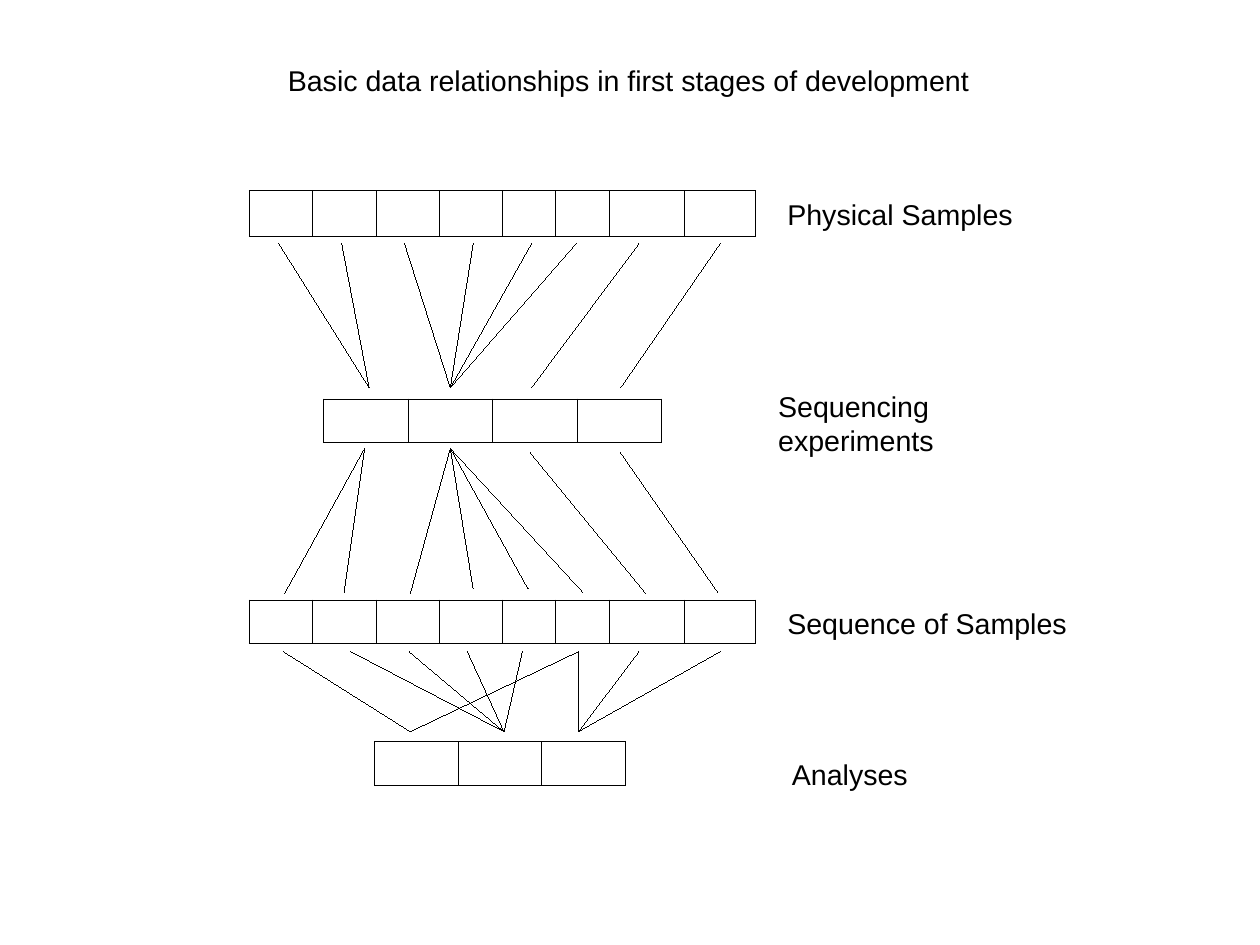
import lxml.etree
import pptx
import pptx.dml.color
import pptx.enum.shapes
import pptx.enum.text
import pptx.oxml
import pptx.oxml.ns
import pptx.util

Inches = pptx.util.Inches
Pt = pptx.util.Pt
BLACK = pptx.dml.color.RGBColor(0, 0, 0)
WHITE = pptx.dml.color.RGBColor(255, 255, 255)


class Diagram:
    """Holds the text style and the slide being filled."""

    text_format = {"name": "Arial", "size": Pt(18)}
    border_width = Pt(0.57)
    hairline = Pt(0.01)

    def __init__(self, slide):
        self.slide = slide

    def label(self, left, top, width, *lines):
        height = 0.1 + 0.28 * len(lines)
        box = self.slide.shapes.add_textbox(
            Inches(left), Inches(top), Inches(width), Inches(height))
        frame = box.text_frame
        frame.word_wrap = False
        frame.auto_size = pptx.enum.text.MSO_AUTO_SIZE.SHAPE_TO_FIT_TEXT
        frame.text = "\n".join(lines)
        for para in frame.paragraphs:
            for span in para.runs:
                for name, value in self.text_format.items():
                    setattr(span.font, name, value)
                span.font.color.rgb = BLACK

    def strip(self, left, top, widths, height=0.38):
        """A one-row table of empty cells."""
        table = self.slide.shapes.add_table(
            1, len(widths), Inches(left), Inches(top),
            Inches(sum(widths)), Inches(height)).table
        table.first_row = table.horz_banding = False
        for column, width in zip(table.columns, widths):
            column.width = Inches(width)
        for cell in table.iter_cells():
            cell.margin_top = cell.margin_bottom = 0
            self.border(cell)
            cell.fill.solid()
            cell.fill.fore_color.rgb = WHITE

    def border(self, cell):
        properties = cell._tc.get_or_add_tcPr()
        for side in ("lnL", "lnR", "lnT", "lnB"):
            properties.append(pptx.oxml.parse_xml(
                f'<a:{side} {pptx.oxml.ns.nsdecls("a")} w="{self.border_width}">'
                f'<a:solidFill><a:srgbClr val="{BLACK}"/></a:solidFill></a:{side}>'))

    def fan(self, hub, ends):
        """Lines from one hub point to each end point."""
        for end in ends:
            line = self.slide.shapes.add_connector(
                pptx.enum.shapes.MSO_CONNECTOR.STRAIGHT,
                *(Inches(value) for value in (*hub, *end)))
            line.line.color.rgb = BLACK
            line.line.width = self.hairline
            lxml.etree.SubElement(
                line._element.spPr, pptx.oxml.ns.qn("a:effectLst"))


# A page of 28 by 21 centimetres
deck = pptx.Presentation()
deck.slide_width, deck.slide_height = Inches(28 / 2.54), Inches(21 / 2.54)
page = deck.slides.add_slide(deck.slide_layouts[6])
diagram = Diagram(page)

# Title and row labels
diagram.label(2.42, 0.5, 6.16,
              "Basic data relationships in first stages of development")
diagram.label(6.79, 1.67, 2.2, "Physical Samples")
diagram.label(6.71, 3.35, 1.6, "Sequencing", "experiments")
diagram.label(6.79, 5.25, 2.7, "Sequence of Samples")
diagram.label(6.83, 6.57, 1.26, "Analyses")

# Rows of records
sample_widths = [0.55] * 4 + [0.46, 0.47, 0.66, 0.62]
sample_widths[:4] = [0.555] * 4
diagram.strip(2.18, 1.67, sample_widths, 0.4)
diagram.strip(2.83, 3.49, [0.74] * 4)
diagram.strip(2.18, 5.25, sample_widths)
diagram.strip(3.28, 6.49, [0.73] * 3)

# Physical samples to sequencing experiments
SAMPLE_BOTTOM, EXPERIMENT_TOP = 2.13, 3.39
experiment_sources = {
    3.23: [2.44, 2.99],
    3.94: [3.54, 4.14, 4.65, 5.04],
    4.65: [5.59],
    5.43: [6.3],
}
for hub_x, sources in experiment_sources.items():
    diagram.fan((hub_x, EXPERIMENT_TOP), [(x, SAMPLE_BOTTOM) for x in sources])

# Sequencing experiments to sequences of samples
experiment_results = {
    (3.19, 3.92): [(2.49, 5.19), (3.01, 5.18)],
    (3.94, 3.92): [(3.59, 5.19), (4.14, 5.15), (4.62, 5.15), (5.1, 5.18)],
    (4.64, 3.96): [(5.65, 5.19)],
    (5.43, 3.96): [(6.28, 5.18)],
}
for hub, results in experiment_results.items():
    diagram.fan(hub, results)

# Sequences of samples to analyses
SEQUENCE_BOTTOM, ANALYSIS_TOP = 5.7, 6.4
analysis_sources = {
    3.59: [2.48, 5.06],
    4.41: [3.07, 3.58, 4.09, 4.57],
    5.06: [5.06, 5.59, 6.3],
}
for hub_x, sources in analysis_sources.items():
    diagram.fan((hub_x, ANALYSIS_TOP), [(x, SEQUENCE_BOTTOM) for x in sources])

deck.save("out.pptx")
